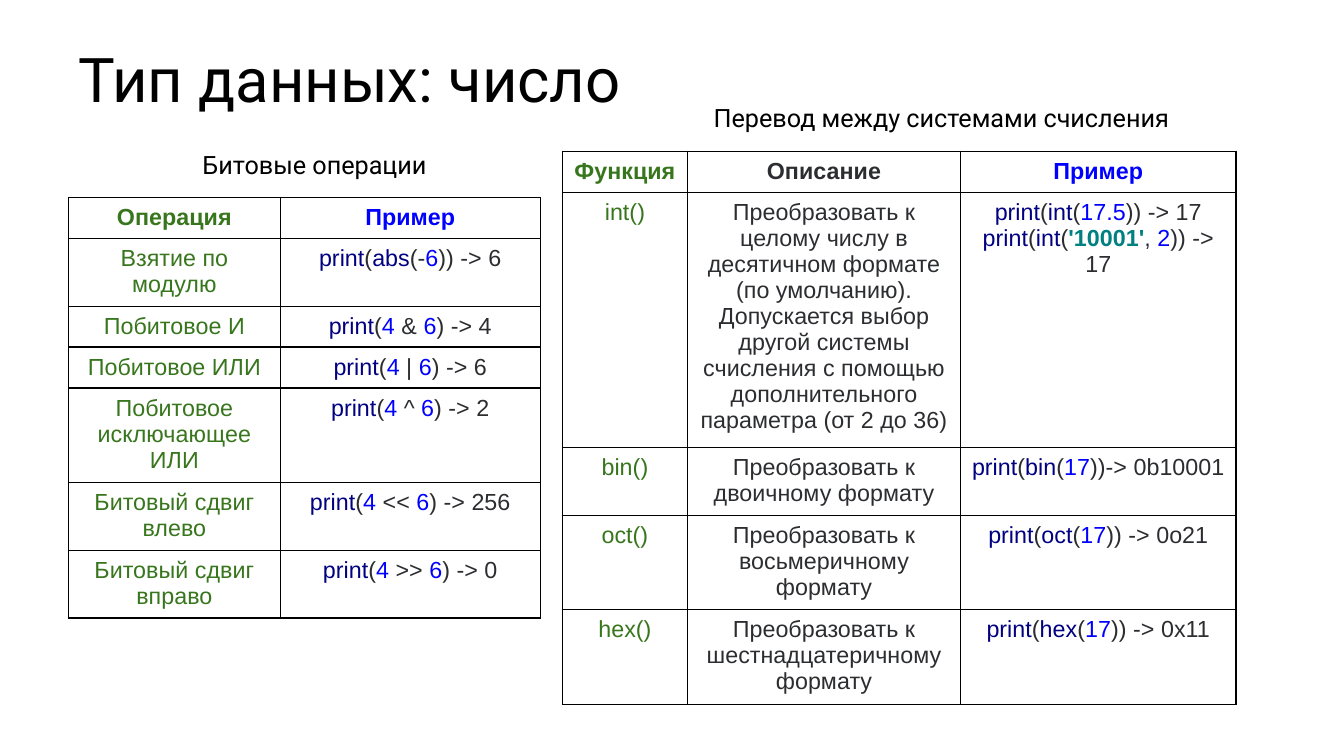
from dataclasses import dataclass

from lxml import etree
from pptx import Presentation
from pptx.dml.color import RGBColor
from pptx.enum.text import MSO_ANCHOR, MSO_AUTO_SIZE, PP_ALIGN
from pptx.oxml.ns import qn
from pptx.util import Inches, Pt

CENTER, LEFT = PP_ALIGN.CENTER, PP_ALIGN.LEFT
BOTTOM, TOP = MSO_ANCHOR.BOTTOM, MSO_ANCHOR.TOP
NO_FIT = MSO_AUTO_SIZE.NONE

TITLE = ("Тип данных: число", (5.1, 7.47, 88.67, 8.53))
CAPTIONS = [
    ("Битовые операции", (14.33, 20, 19.35, 4.4)),
    ("Перевод между системами счисления", (52.36, 13.87, 35.78, 4.4)),
]
BUILTINS = {"print", "abs", "int", "bin", "oct", "hex"}
TABLES = [
    {
        "at": (5.1, 26.13),
        "cols": [("term", 15.75), ("code", 19.35)],
        "lines": [1, 2, 1, 1, 3, 2, 2],
        "rows": [
            ("Операция", "Пример"),
            ("Взятие по модулю", "print`(`abs`(-`6`)) -> 6"),
            ("Побитовое И", "print`(`4 `& `6`) -> 4"),
            ("Побитовое ИЛИ", "print`(`4 `| `6`) -> 6"),
            ("Побитовое исключающее ИЛИ", "print`(`4 `^ `6`) -> 2"),
            ("Битовый сдвиг влево", "print`(`4 `<< `6`) -> 256"),
            ("Битовый сдвиг вправо", "print`(`4 `>> `6`) -> 0"),
        ],
    },
    {
        "at": (41.85, 20),
        "cols": [("term", 9.3), ("plain", 20.33), ("code", 20.48)],
        "lines": [1, 9, 2, 3, 3],
        "rows": [
            ("Функция", "Описание", "Пример"),
            ("int()",
             "Преобразовать к целому числу в десятичном формате (по умолчанию). "
             "Допускается выбор другой системы счисления с помощью "
             "дополнительного параметра (от 2 до 36)",
             "print`(`int`(`17.5`)) -> 17\nprint`(`int`(`'10001'`, `2`)) -> 17"),
            ("bin()", "Преобразовать к двоичному формату",
             "print`(`bin`(`17`))-> 0b10001"),
            ("oct()", "Преобразовать к восьмеричному формату",
             "print`(`oct`(`17`)) -> 0o21"),
            ("hex()", "Преобразовать к шестнадцатеричному формату",
             "print`(`hex`(`17`)) -> 0x11"),
        ],
    },
]


@dataclass
class Theme:
    heading_font: str = "Roboto"
    body_font: str = "Arial"
    title_size: float = 44
    caption_size: float = 18
    cell_size: float = 16.67
    heading: str = "000000"
    border: str = "000000"
    term: str = "38761D"
    plain: str = "2C2D30"
    number: str = "0000FF"
    builtin: str = "000080"
    string: str = "008080"


theme = Theme()
WIDTH, HEIGHT = Inches(13.33), Inches(7.5)
COL, ROW = WIDTH / 100, HEIGHT / 100
CELL_PAD, CELL_LINE = Inches(0.07), Pt(19.15)


def style(font, name, size, color, bold=False):
    font.name, font.size, font.bold = name, Pt(size), bold
    font.color.rgb = RGBColor.from_string(color)


def place(sp, box):
    x, y, w, h = box
    sp.left, sp.top = round(x * COL), round(y * ROW)
    sp.width, sp.height = round(w * COL), round(h * ROW)


def write_heading(sp, text, box, size):
    place(sp, box)
    tf = sp.text_frame
    tf.word_wrap, tf.auto_size, tf.vertical_anchor = True, NO_FIT, BOTTOM
    p = tf.paragraphs[0]
    p.text, p.alignment, p.line_spacing = text, LEFT, 0.9
    style(p.font, theme.heading_font, size, theme.heading)


def token_color(token):
    if token in BUILTINS:
        return theme.builtin
    if token.startswith("'"):
        return theme.string
    if token.strip().replace(".", "").isdigit():
        return theme.number
    return theme.plain


def add_borders(cell):
    tc_pr = cell._tc.get_or_add_tcPr()
    for i, side in enumerate(("lnL", "lnR", "lnT", "lnB")):
        ln = etree.Element(qn("a:" + side), w=str(Pt(1)))
        fill = etree.SubElement(ln, qn("a:solidFill"))
        etree.SubElement(fill, qn("a:srgbClr"), val=theme.border)
        tc_pr.insert(i, ln)


def write_cell(cell, text, kind, is_header):
    cell.fill.background()
    add_borders(cell)
    cell.margin_left = cell.margin_right = CELL_PAD
    cell.margin_top = cell.margin_bottom = CELL_PAD
    cell.vertical_anchor = TOP
    column_color = {"term": theme.term, "plain": theme.plain, "code": theme.number}[kind]
    tf = cell.text_frame
    for i, line in enumerate(text.split("\n")):
        p = tf.add_paragraph() if i else tf.paragraphs[0]
        p.alignment = CENTER
        for token in line.split("`"):
            r = p.add_run()
            r.text = token
            is_code = kind == "code" and not is_header
            color = token_color(token) if is_code else column_color
            bold = is_header or color == theme.string
            style(r.font, theme.body_font, theme.cell_size, color, bold)


def add_grid(s, data):
    x, y = data["at"]
    widths = [round(w * COL) for _, w in data["cols"]]
    heights = [2 * CELL_PAD + n * CELL_LINE for n in data["lines"]]
    frame = s.shapes.add_table(len(heights), len(widths), round(x * COL),
                               round(y * ROW), sum(widths), sum(heights))
    table = frame.table
    table.first_row = table.horz_banding = False
    for column, width in zip(table.columns, widths):
        column.width = width
    for row, height in zip(table.rows, heights):
        row.height = height
    for i, texts in enumerate(data["rows"]):
        for j, text in enumerate(texts):
            write_cell(table.cell(i, j), text, data["cols"][j][0], i == 0)


def main():
    prs = Presentation()
    prs.slide_width, prs.slide_height = WIDTH, HEIGHT
    s = prs.slides.add_slide(prs.slide_layouts[5])
    write_heading(s.shapes.title, *TITLE, theme.title_size)
    for text, box in CAPTIONS:
        sp = s.shapes.add_textbox(0, 0, 0, 0)
        write_heading(sp, text, box, theme.caption_size)
    for data in TABLES:
        add_grid(s, data)
    prs.save("out.pptx")


if __name__ == "__main__":
    main()
